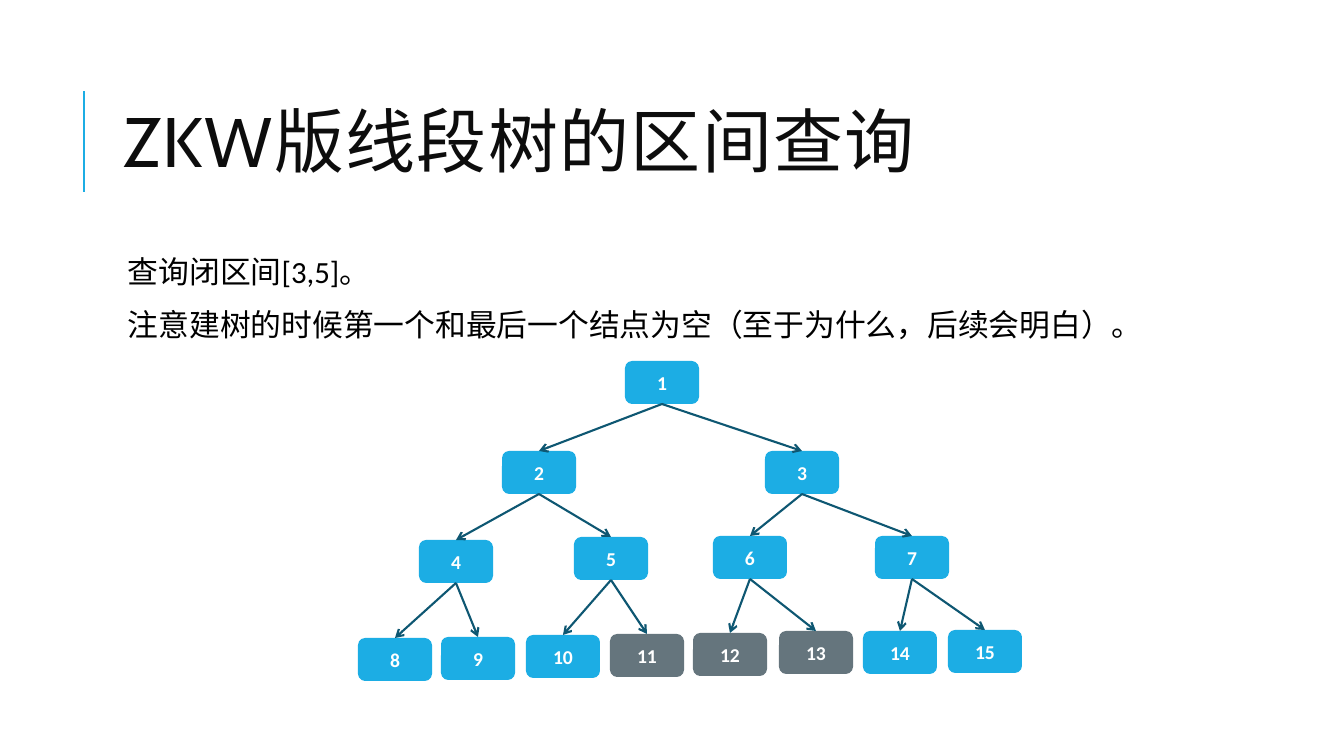
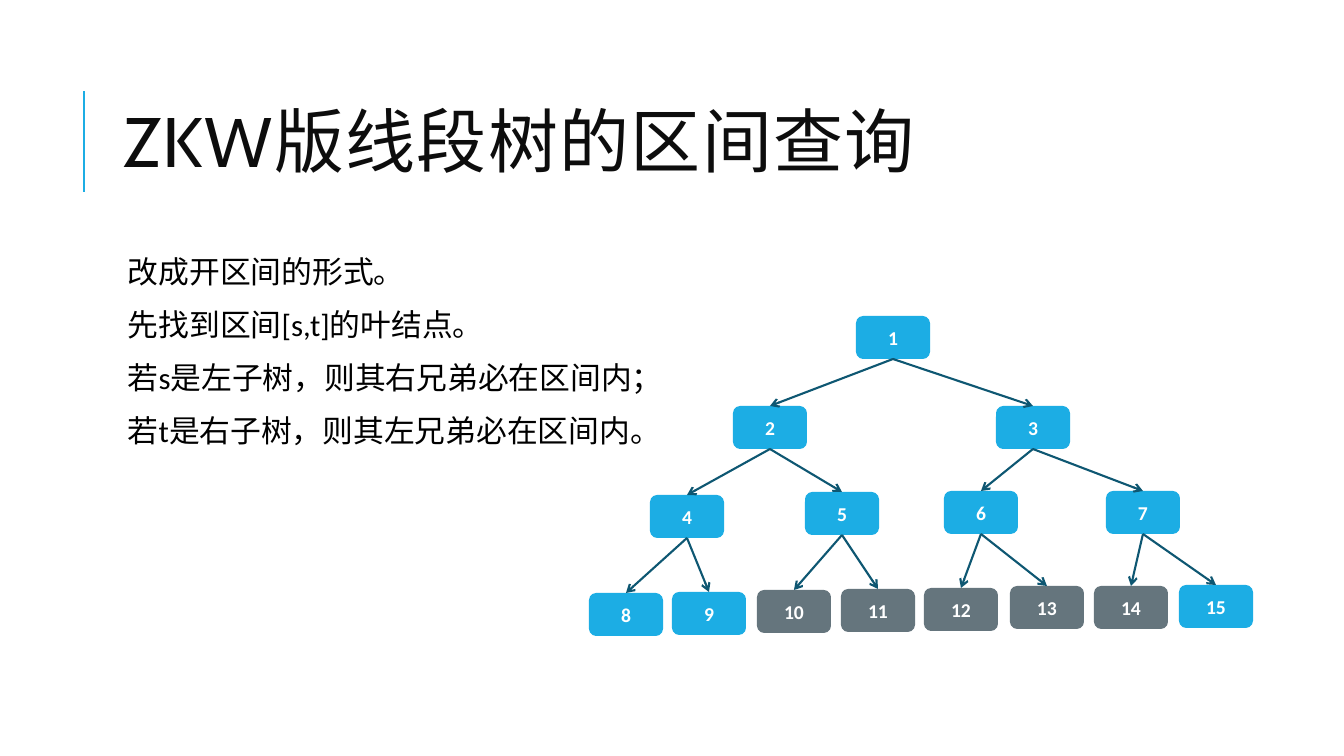
from dataclasses import dataclass

import lxml.etree
import pptx
import pptx.dml.color
import pptx.enum.lang
import pptx.enum.shapes
import pptx.enum.text
import pptx.oxml.ns
import pptx.util

EMU_PER_PIXEL = 914400 / 100.8
COLORS = {
    "accent": "1CADE4",
    "selected": "65757D",
    "arrow": "0E5772",
    "title": "0D0D0D",
    "body": "000000",
    "label": "FFFFFF",
}
TITLE = "ZKW版线段树的区间查询"
NODE_WIDTH, NODE_HEIGHT = 74, 43

# Top left corner of each node, in heap order: node n has children 2n and 2n + 1
NODE_CORNERS = [
    (625, 361),
    (502, 451), (765, 451),
    (419, 540), (574, 537), (713, 536), (875, 536),
    (358, 638), (441, 637), (526, 635), (610, 634),
    (693, 633), (779, 631), (863, 631), (948, 630),
]


@dataclass(frozen=True)
class TreePage:
    lines: list[str]
    selected: range
    shift_x: int = 0
    shift_y: int = 0


PAGES = [
    TreePage(
        ["查询闭区间[3,5]。",
         "注意建树的时候第一个和最后一个结点为空（至于为什么，后续会明白）。"],
        selected=range(11, 14),
    ),
    TreePage(
        ["改成开区间的形式。",
         "先找到区间[s,t]的叶结点。",
         "若s是左子树，则其右兄弟必在区间内；",
         "若t是右子树，则其左兄弟必在区间内。"],
        selected=range(10, 15),
        shift_x=231,
        shift_y=-45,
    ),
]


def px(pixels: float) -> pptx.util.Emu:
    return pptx.util.Emu(round(pixels * EMU_PER_PIXEL))


def color(name: str) -> pptx.dml.color.RGBColor:
    return pptx.dml.color.RGBColor.from_string(COLORS[name])


def style_paragraph(paragraph, font_name: str, size: int, color_name: str,
                    bold: bool = False) -> None:
    font = paragraph.font
    font.name = font_name
    font.size = pptx.util.Pt(size)
    font.bold = bold
    font.color.rgb = color(color_name)
    font.language_id = pptx.enum.lang.MSO_LANGUAGE_ID.SIMPLIFIED_CHINESE


def add_line(shapes, start: tuple, end: tuple, color_name: str):
    line = shapes.add_connector(
        pptx.enum.shapes.MSO_CONNECTOR.STRAIGHT, *start, *end)
    line.line.color.rgb = color(color_name)
    line.line.width = pptx.util.Pt(1.5)
    lxml.etree.SubElement(line._element.spPr, pptx.oxml.ns.qn("a:effectLst"))
    return line


def add_heading(page) -> None:
    add_line(page.shapes, (px(84), px(192)), (px(84), px(91)), "accent")
    title = page.shapes.title
    title.left, title.top = px(113), px(65)
    title.width, title.height = px(1072), px(165)
    frame = title.text_frame
    frame.text = TITLE
    frame.auto_size = pptx.enum.text.MSO_AUTO_SIZE.NONE
    frame.vertical_anchor = pptx.enum.text.MSO_ANCHOR.MIDDLE
    paragraph = frame.paragraphs[0]
    paragraph.alignment = pptx.enum.text.PP_ALIGN.LEFT
    paragraph.line_spacing = 0.8
    style_paragraph(paragraph, "Cabin", 50, "title")
    # Letter spacing of one point
    paragraph._p.pPr.find(pptx.oxml.ns.qn("a:defRPr")).set("spc", "100")


def add_body(page, lines: list[str]) -> None:
    box = page.shapes.add_textbox(px(113), px(252), px(1072), px(444))
    frame = box.text_frame
    frame.word_wrap = True
    frame.margin_left = px(15)
    frame.margin_top = frame.margin_right = frame.margin_bottom = px(5)
    frame.text = "\n".join(lines)
    for paragraph in frame.paragraphs:
        paragraph.line_spacing = 0.9
        paragraph.space_before = pptx.util.Pt(12)
        paragraph.space_after = pptx.util.Pt(2)
        style_paragraph(paragraph, "Calibri", 22, "body")


def add_node(shapes, label: str, left: int, top: int, fill_name: str):
    node = shapes.add_shape(
        pptx.enum.shapes.MSO_SHAPE.ROUNDED_RECTANGLE,
        px(left), px(top), px(NODE_WIDTH), px(NODE_HEIGHT))
    node.shadow.inherit = False
    node.fill.solid()
    node.fill.fore_color.rgb = color(fill_name)
    node.line.fill.background()
    frame = node.text_frame
    frame.text = label
    frame.vertical_anchor = pptx.enum.text.MSO_ANCHOR.MIDDLE
    paragraph = frame.paragraphs[0]
    paragraph.alignment = pptx.enum.text.PP_ALIGN.CENTER
    style_paragraph(paragraph, "Calibri", 14, "label", bold=True)
    return node


def add_edge(shapes, parent, child) -> None:
    start = (parent.left + parent.width // 2, parent.top + parent.height)
    end = (child.left + child.width // 2, child.top)
    edge = add_line(shapes, start, end, "arrow")
    edge.begin_connect(parent, 2)
    edge.end_connect(child, 0)
    lxml.etree.SubElement(
        edge.line._get_or_add_ln(), pptx.oxml.ns.qn("a:tailEnd"), type="arrow")


def add_tree(page, content: TreePage) -> None:
    shapes = page.shapes.add_group_shape().shapes
    nodes = {}
    for number, (left, top) in enumerate(NODE_CORNERS, start=1):
        fill_name = "selected" if number in content.selected else "accent"
        nodes[number] = add_node(
            shapes, str(number), left + content.shift_x,
            top + content.shift_y, fill_name)
    for number in range(2, len(nodes) + 1):
        add_edge(shapes, nodes[number // 2], nodes[number])


def main() -> None:
    deck = pptx.Presentation()
    deck.slide_width, deck.slide_height = px(1344), px(756)
    title_only = deck.slide_layouts[5]
    for content in PAGES:
        page = deck.slides.add_slide(title_only)
        add_heading(page)
        add_body(page, content.lines)
        add_tree(page, content)
    deck.save("out.pptx")


main()
